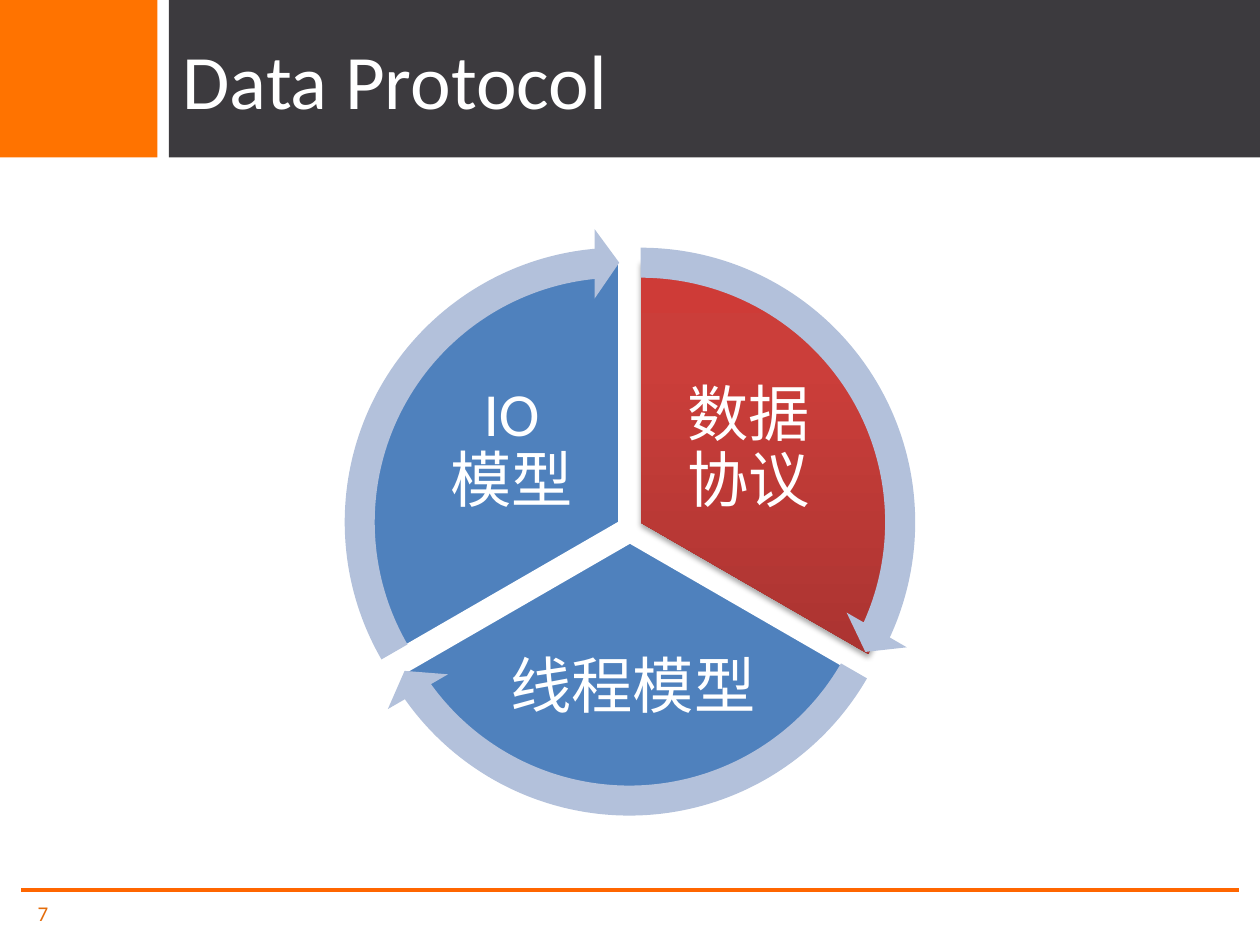
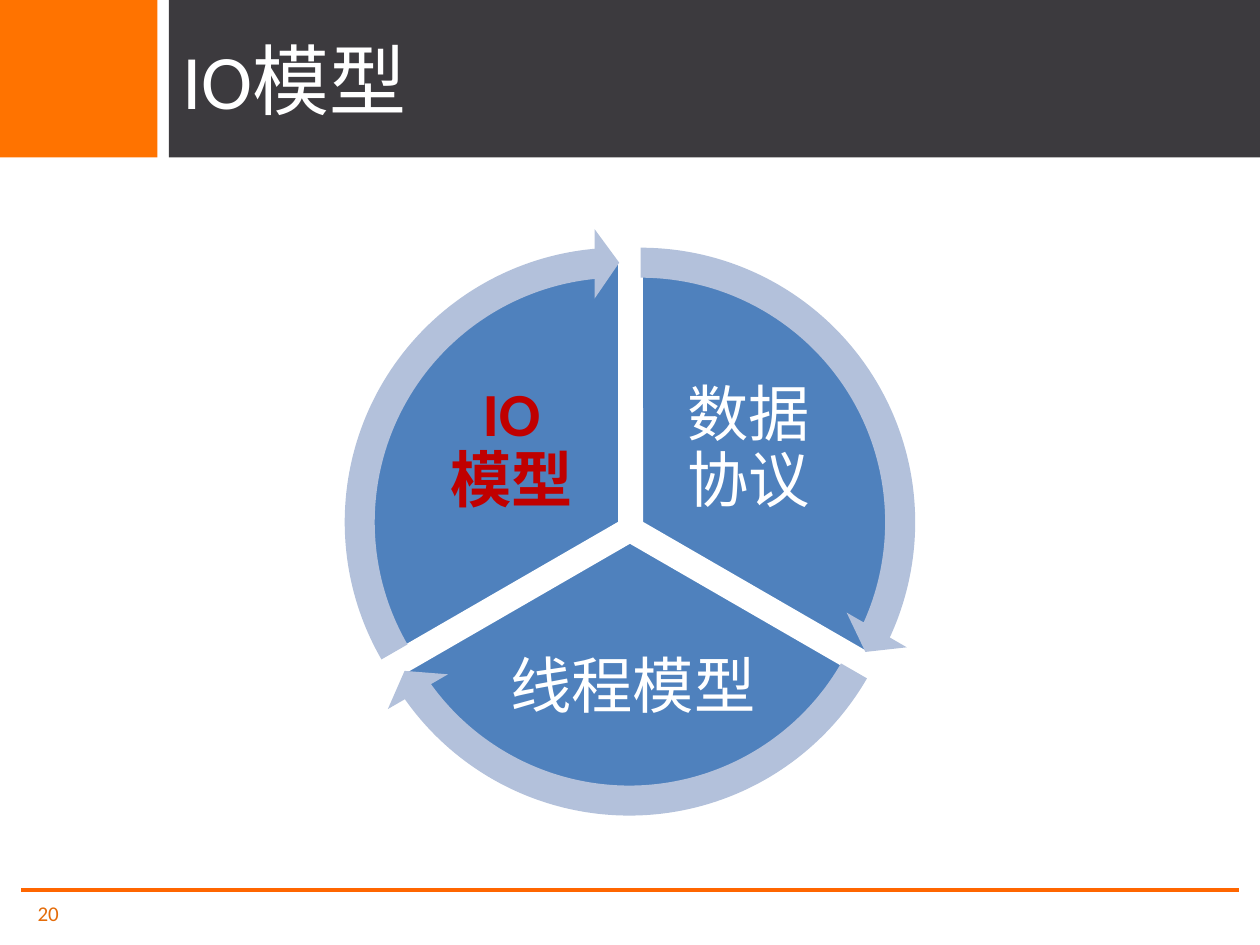
from dataclasses import dataclass

from lxml import etree
from pptx import Presentation
from pptx.dml.color import RGBColor
from pptx.enum.shapes import MSO_CONNECTOR, MSO_SHAPE as Shape
from pptx.enum.text import MSO_ANCHOR as Anchor, PP_ALIGN as Align
from pptx.oxml import parse_xml
from pptx.oxml.ns import nsdecls, qn
from pptx.util import Inches, Pt


@dataclass(frozen=True)
class Theme:
    font: str = "Calibri"
    title_size: int = 44
    label_size: int = 35
    number_size: int = 12
    white: str = "FFFFFF"
    band: str = "3C3A3E"
    accent: str = "FF7300"
    rule: str = "FF6600"
    number: str = "E46C0A"
    sector: str = "4F81BD"
    arrow: str = "B3C1DB"
    emphasis: str = "C00000"
    red_stops: tuple = ((0, "9C2F2D"), (80, "CB3E3A"), (100, "CE3B37"))


theme = Theme()
color = RGBColor.from_string

# Sectors: label, pie corner, start and end angle, label area, arrow end limit
PIE_SIZE, ARROW_SIZE, ARROW_OFFSET = 4.16, 4.67, 0.26
SECTORS = [
    ("数据协议", (3.01, 2.07), (270, 30), (5.2, 2.95, 1.48, 1.24), (24.54, 269.99)),
    ("线程模型", (2.92, 2.22), (30, 150), (3.91, 4.92, 2.23, 1.09), (144.53, 30.01)),
    ("IO\v模型", (2.84, 2.07), (150, 270), (3.32, 2.95, 1.48, 1.24), (264.55, 150)),
]
ANGLE_UNIT = 0.6  # adjustment units per degree

# Slides: title, number, sector filled red, sector with red label
PAGES = [
    ("Data Protocol", "7", "数据协议", None),
    ("IO模型", "20", None, "IO\v模型"),
]


def add_figure(page, kind, area, fill):
    figure = page.shapes.add_shape(kind, *map(Inches, area))
    figure.shadow.inherit = False
    figure.fill.solid()
    figure.fill.fore_color.rgb = color(fill)
    figure.line.fill.background()
    return figure


def add_text(page, text, area, size, ink):
    box = page.shapes.add_textbox(*map(Inches, area))
    frame = box.text_frame
    frame.word_wrap = True
    frame.vertical_anchor = Anchor.MIDDLE
    para = frame.paragraphs[0]
    para.text = text
    para.font.name = theme.font
    para.font.size = Pt(size)
    para.font.color.rgb = color(ink)
    return frame


deck = Presentation()
deck.slide_width, deck.slide_height = Inches(10), Inches(7.5)

for title, number, red_sector, red_label in PAGES:
    page = deck.slides.add_slide(deck.slide_layouts[6])

    # Title band and footer
    add_figure(page, Shape.RECTANGLE, (1.34, 0, 8.68, 1.25), theme.band)
    add_figure(page, Shape.RECTANGLE, (0, 0, 1.25, 1.25), theme.accent)
    rule = page.shapes.add_connector(
        MSO_CONNECTOR.STRAIGHT, Inches(0.17), Inches(7.06), Inches(9.83), Inches(7.06))
    rule.line.color.rgb = color(theme.rule)
    rule.line.width = Pt(2.25)
    etree.SubElement(rule._element.spPr, qn("a:effectLst"))
    add_text(page, title, (1.35, 0, 8.65, 1.25), theme.title_size, theme.white)
    add_text(page, number, (0.2, 7.05, 1.1, 0.4), theme.number_size, theme.number)

    # Pie sectors with labels
    for label, (left, top), angles, label_area, _ in SECTORS:
        pie = add_figure(page, Shape.PIE, (left, top, PIE_SIZE, PIE_SIZE), theme.sector)
        for index, angle in enumerate(angles):
            pie.adjustments[index] = angle * ANGLE_UNIT

        if label == red_sector:
            # Red gradient rising from the dark end, with a soft shadow
            properties = pie._element.spPr
            stops = "".join(
                f'<a:gs pos="{place * 1000}"><a:srgbClr val="{tone}"/></a:gs>'
                for place, tone in theme.red_stops)
            gradient = parse_xml(
                f'<a:gradFill {nsdecls("a")} rotWithShape="1"><a:gsLst>{stops}</a:gsLst>'
                '<a:lin ang="16200000" scaled="0"/></a:gradFill>')
            properties.replace(properties.find(qn("a:solidFill")), gradient)
            properties.find(qn("a:effectLst")).append(parse_xml(
                f'<a:outerShdw {nsdecls("a")} blurRad="{Pt(3.1)}" dist="{Pt(1.8)}" '
                'dir="5400000" rotWithShape="0"><a:srgbClr val="000000">'
                '<a:alpha val="35000"/></a:srgbClr></a:outerShdw>'))
        else:
            pie.line.color.rgb = color(theme.white)
            pie.line.width = Pt(2)

        ink = theme.emphasis if label == red_label else theme.white
        frame = add_text(page, label, label_area, theme.label_size, ink)
        frame.margin_left = frame.margin_right = Inches(0.05)
        frame.margin_top = frame.margin_bottom = Inches(0.05)
        para = frame.paragraphs[0]
        para.alignment = Align.CENTER
        para.line_spacing = 0.9
        if label == red_label:
            para.font.bold = True

    # Circular arrows around the sectors
    for _, (left, top), _, _, (end, start) in SECTORS:
        area = (left - ARROW_OFFSET, top - ARROW_OFFSET, ARROW_SIZE, ARROW_SIZE)
        arrow = add_figure(page, Shape.CIRCULAR_ARROW, area, theme.arrow)
        settings = (0.051, 3.275, end * ANGLE_UNIT, start * ANGLE_UNIT, 0.059)
        for index, setting in enumerate(settings):
            arrow.adjustments[index] = setting

deck.save("out.pptx")
